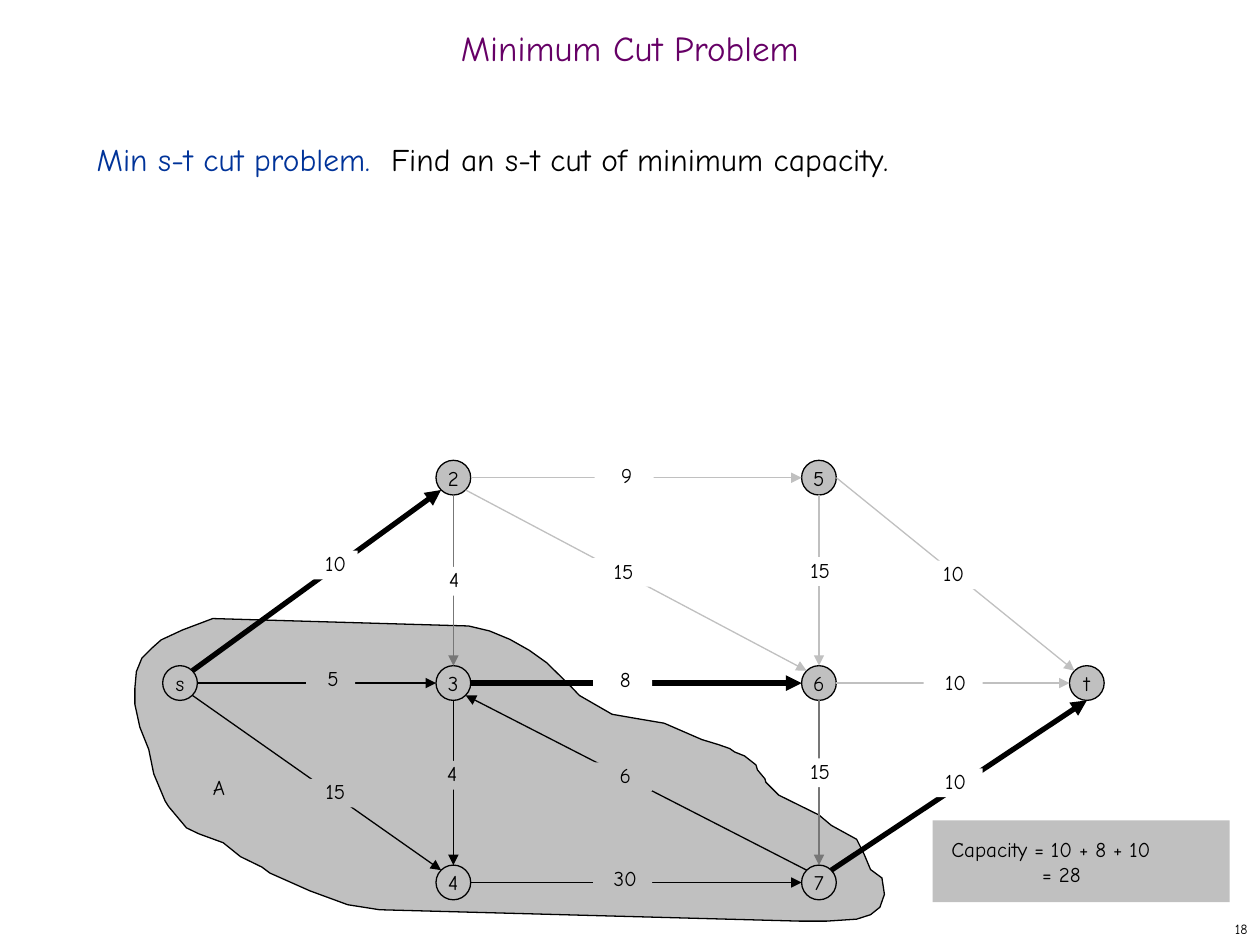
from dataclasses import dataclass

from lxml import etree
from pptx import Presentation
from pptx.dml.color import RGBColor
from pptx.enum.shapes import MSO_CONNECTOR, MSO_SHAPE
from pptx.enum.text import MSO_ANCHOR, PP_ALIGN
from pptx.oxml.ns import qn
from pptx.util import Cm, Pt

OVAL, RECTANGLE = MSO_SHAPE.OVAL, MSO_SHAPE.RECTANGLE
STRAIGHT = MSO_CONNECTOR.STRAIGHT
TOP, MIDDLE = MSO_ANCHOR.TOP, MSO_ANCHOR.MIDDLE
LEFT, CENTER, RIGHT = PP_ALIGN.LEFT, PP_ALIGN.CENTER, PP_ALIGN.RIGHT


@dataclass(frozen=True)
class Theme:
    font: str = "Comic Neue"
    black: RGBColor = RGBColor(0x00, 0x00, 0x00)
    white: RGBColor = RGBColor(0xFF, 0xFF, 0xFF)
    silver: RGBColor = RGBColor(0xC0, 0xC0, 0xC0)
    grey: RGBColor = RGBColor(0x77, 0x77, 0x77)
    blue: RGBColor = RGBColor(0x00, 0x33, 0x99)
    purple: RGBColor = RGBColor(0x66, 0x00, 0x66)
    title_size: Pt = Pt(20)
    body_size: Pt = Pt(18)
    graph_size: Pt = Pt(12)
    number_size: Pt = Pt(8)
    thin: Pt = Pt(0.75)
    thick: Pt = Pt(3)


theme = Theme()


def write(para, spans, size, align=LEFT):
    """Fill a paragraph with (text, colour) spans."""
    para.alignment = align
    for text, color in spans:
        span = para.add_run()
        span.text = text
        span.font.name = theme.font
        span.font.size = size
        span.font.color.rgb = color


def paint(shape, fill, outlined):
    shape.shadow.inherit = False
    shape.fill.solid()
    shape.fill.fore_color.rgb = fill
    if outlined:
        shape.line.color.rgb = theme.black
        shape.line.width = theme.thin
    else:
        shape.line.fill.background()


deck = Presentation()
deck.slide_width, deck.slide_height = Cm(25.4), Cm(19.05)
page = deck.slides.add_slide(deck.slide_layouts[6])

# Slide number, body text and title
texts = [
    (20.12, 18.41, 5.28, 0.64, MIDDLE, RIGHT, theme.number_size, None,
     [("18", theme.black)]),
    (1.7, 2.54, 21.79, 15.04, TOP, LEFT, theme.body_size, Pt(26),
     [("Min s-t cut problem.  ", theme.blue),
      ("Find an s-t cut of minimum capacity.", theme.black)]),
    (0, 0.43, 25.4, 1.27, MIDDLE, CENTER, theme.title_size, 0.7,
     [("Minimum Cut Problem", theme.purple)]),
]
for left, top, width, height, anchor, align, size, spacing, spans in texts:
    box = page.shapes.add_textbox(Cm(left), Cm(top), Cm(width), Cm(height))
    box.text_frame.word_wrap = True
    box.text_frame.vertical_anchor = anchor
    para = box.text_frame.paragraphs[0]
    para.line_spacing = spacing
    write(para, spans, size, align)

# Region A of the cut
cut_outline = [
    (15.44, 15.77), (15.7, 16.03), (16.51, 16.43), (16.76, 16.64), (17.27, 16.92),
    (17.42, 17.22), (17.55, 17.53), (17.78, 17.7), (17.83, 18.03), (17.74, 18.29),
    (17.55, 18.44), (17.27, 18.53), (16.66, 18.57), (16.13, 18.57), (7.65, 18.34),
    (7.01, 18.24), (6.25, 17.96), (5.44, 17.6), (5.28, 17.48), (4.85, 17.27),
    (4.5, 16.99), (4.01, 16.81), (3.76, 16.69), (3.4, 16.26), (3.33, 16.15),
    (3.1, 15.6), (3, 15.11), (2.82, 14.66), (2.72, 14.2), (2.72, 13.87),
    (2.75, 13.54), (2.86, 13.27), (3.07, 13.06), (3.25, 12.9), (3.68, 12.7),
    (4.29, 12.47), (9.45, 12.62), (9.87, 12.72), (10.28, 12.89), (10.67, 13.11),
    (11.02, 13.36), (11.51, 13.84), (11.68, 14.02), (12.34, 14.4), (12.8, 14.48),
    (13.39, 14.58), (14.15, 14.91), (14.48, 15.01), (14.71, 15.09), (14.81, 15.16),
    (15.01, 15.24), (15.24, 15.42), (15.27, 15.52), (15.42, 15.7),
]
points = [(Cm(x), Cm(y)) for x, y in cut_outline]
builder = page.shapes.build_freeform(*points[0])
builder.add_line_segments(points[1:], close=True)
paint(builder.convert_to_shape(), theme.silver, True)

# Nodes on four columns and three rows
columns = [3.63, 9.14, 16.51, 21.91]
rows = [9.63, 13.77, 17.79]
radius = 0.35
places = {"s": (0, 1), "2": (1, 0), "3": (1, 1), "4": (1, 2),
          "5": (2, 0), "6": (2, 1), "7": (2, 2), "t": (3, 1)}
centers = {name: (columns[column], rows[row])
           for name, (column, row) in places.items()}
for name, (x, y) in centers.items():
    node = page.shapes.add_shape(
        OVAL, Cm(x - radius), Cm(y - radius), Cm(2 * radius), Cm(2 * radius))
    paint(node, theme.silver, True)
    node.text_frame.word_wrap = False
    node.text_frame.vertical_anchor = MIDDLE
    write(node.text_frame.paragraphs[0], [(name, theme.black)],
          theme.graph_size, CENTER)

# Edges leave and enter a node at one of eight compass points
diagonal = 0.71 * radius
compass = {"N": (0, -radius), "S": (0, radius), "W": (-radius, 0), "E": (radius, 0),
           "NE": (diagonal, -diagonal), "NW": (-diagonal, -diagonal),
           "SE": (diagonal, diagonal), "SW": (-diagonal, diagonal)}
edges = [
    ("s", "NE", "2", "SW", theme.black, theme.thick),
    ("s", "E", "3", "W", theme.black, theme.thin),
    ("s", "SE", "4", "NW", theme.black, theme.thin),
    ("3", "E", "6", "W", theme.black, theme.thick),
    ("7", "NW", "3", "SE", theme.black, theme.thin),
    ("3", "S", "4", "N", theme.black, theme.thin),
    ("2", "E", "5", "W", theme.silver, theme.thin),
    ("4", "E", "7", "W", theme.black, theme.thin),
    ("2", "S", "3", "N", theme.grey, theme.thin),
    ("6", "S", "7", "N", theme.grey, theme.thin),
    ("5", "S", "6", "N", theme.silver, theme.thin),
    ("2", "SE", "6", "NW", theme.silver, theme.thin),
    ("5", "E", "t", "NW", theme.silver, theme.thin),
    ("6", "E", "t", "W", theme.silver, theme.thin),
    ("7", "NE", "t", "S", theme.black, theme.thick),
]
for source, source_side, target, target_side, color, width in edges:
    ends = [Cm(center + offset)
            for name, side in ((source, source_side), (target, target_side))
            for center, offset in zip(centers[name], compass[side])]
    edge = page.shapes.add_connector(STRAIGHT, *ends)
    edge.line.color.rgb = color
    edge.line.width = width
    properties = edge._element.spPr
    arrow = etree.SubElement(properties.find(qn("a:ln")), qn("a:tailEnd"))
    arrow.set("type", "triangle")
    etree.SubElement(properties, qn("a:effectLst"))

# Capacities: text, left, top, width, indent, fill
labels = [
    ("15", 6.12, 15.7, 1.19, 0.1, theme.silver),
    ("5", 6.17, 13.41, 0.99, 0.1, theme.silver),
    ("30", 11.96, 17.45, 1.19, 0.1, theme.silver),
    ("15", 15.9, 15.29, 1.17, 0.1, theme.white),
    ("10", 6.02, 11.1, 1.19, 0.3, theme.white),
    ("8", 11.96, 13.44, 1.19, 0.1, theme.white),
    ("15", 11.94, 11.25, 1.17, 0.1, theme.white),
    ("9", 11.99, 9.32, 1.19, 0.1, theme.white),
    ("6", 11.96, 15.37, 1.19, 0.1, theme.silver),
    ("10", 18.62, 15.49, 1.19, 0.1, theme.white),
    ("10", 18.62, 13.49, 1.19, 0.1, theme.white),
    ("10", 18.49, 11.3, 1.17, 0.3, theme.white),
    ("15", 15.9, 11.23, 1.17, 0.1, theme.white),
    ("4", 8.51, 11.43, 1.19, 0.1, theme.white),
    ("4", 8.48, 15.34, 1.17, 0.1, theme.silver),
    ("A", 3.68, 15.62, 1.17, 0.3, theme.silver),
]
for text, left, top, width, indent, fill in labels:
    label = page.shapes.add_shape(
        RECTANGLE, Cm(left), Cm(top), Cm(width), Cm(0.58))
    paint(label, fill, False)
    frame = label.text_frame
    frame.margin_left = Cm(indent)
    frame.margin_top = frame.margin_right = frame.margin_bottom = 0
    frame.vertical_anchor = TOP
    write(frame.paragraphs[0], [(text, theme.black)], theme.graph_size, CENTER)

# Capacity of the cut, with the equals signs aligned
total = page.shapes.add_shape(RECTANGLE, Cm(18.8), Cm(16.54), Cm(5.99), Cm(1.65))
paint(total, theme.silver, False)
frame = total.text_frame
frame.word_wrap = True
frame.vertical_anchor = MIDDLE
frame.margin_left = Cm(0.38)
write(frame.paragraphs[0], [("Capacity = 10 + 8 + 10", theme.black)], theme.graph_size)
result = frame.add_paragraph()
result._p.get_or_add_pPr().set("marL", str(Cm(1.83)))
write(result, [("= 28", theme.black)], theme.graph_size)

deck.save("out.pptx")
